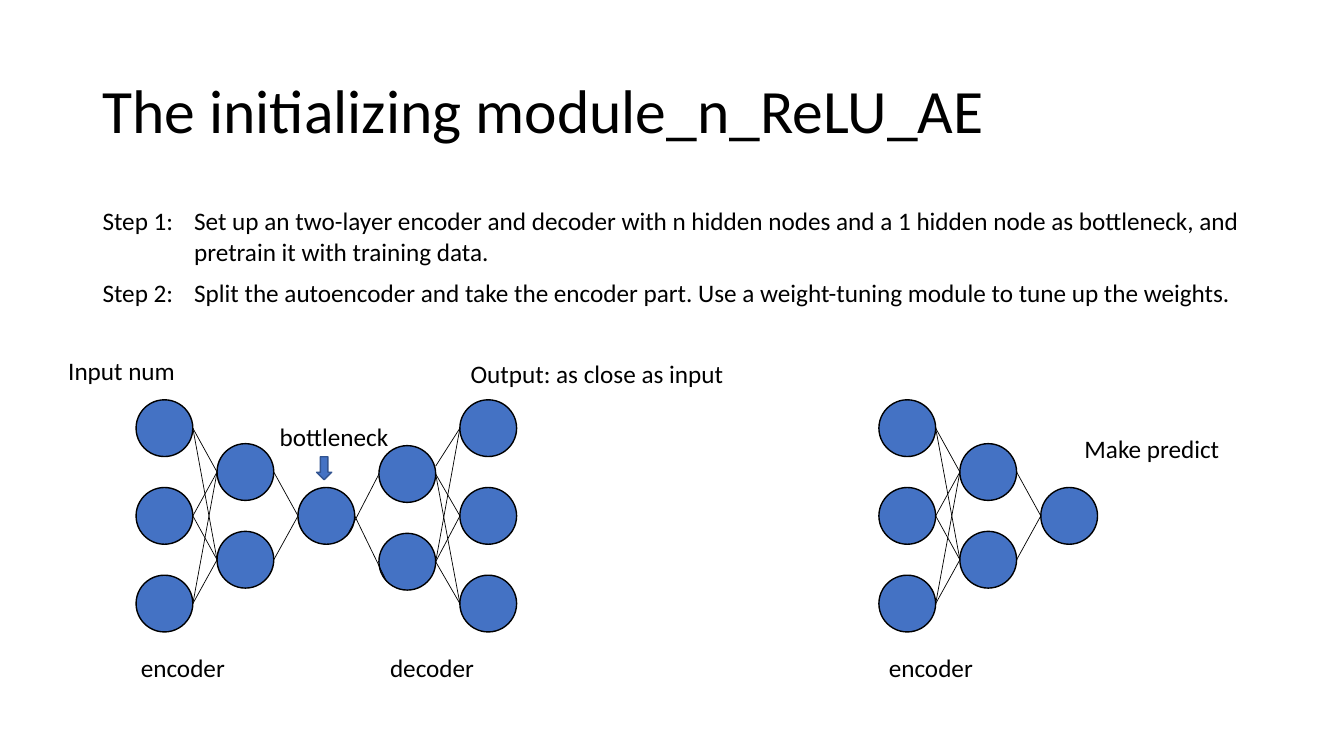
from dataclasses import dataclass
from typing import Any

import pptx
import pptx.dml.color
import pptx.enum.shapes
import pptx.enum.text
import pptx.oxml.ns
import pptx.util
from lxml import etree

Cm, Pt = pptx.util.Cm, pptx.util.Pt
SHAPE = pptx.enum.shapes.MSO_SHAPE
BLACK, WHITE, BLUE, NAVY = "000000", "FFFFFF", "4472C4", "325491"

NODE = 1.43          # diameter of a node
LAYER_STEP = 2.04    # from one layer to the next
NODE_STEP = 2.21     # from one node to the next in a layer
MIDDLE = 13.0        # height of the networks' centre line


@dataclass
class Layer:
    nodes: int
    drop: float = 0.0


@dataclass
class Network:
    left: float
    layers: list[Layer]
    # (layer, start node, end node) -> shifts of start x, y and end x, y
    shifts: dict[tuple[int, int, int], tuple[float, float, float, float]]


@dataclass
class Label:
    text: str
    left: float
    top: float
    width: float


ENCODER = [Layer(3), Layer(2), Layer(1)]
DECODER = [Layer(2, 0.05), Layer(3)]
NETWORKS = [
    Network(3.43, ENCODER + DECODER, {
        (2, 0, 0): (-0.2, 0.51, 0, 0),
        (2, 0, 1): (0, 0, 0.2, 0.51),
        (3, 0, 0): (0, -0.2, 0, 0),
    }),
    Network(22.15, ENCODER, {}),
]
LABELS = [
    Label("Input num", 1.47, 8.82, 3.71),
    Label("Output: as close as input", 11.61, 8.91, 7.26),
    Label("bottleneck", 6.8, 10.5, 3.45),
    Label("encoder", 3.3, 16.31, 3.45),
    Label("decoder", 9.58, 16.31, 3.45),
    Label("encoder", 22.15, 16.31, 3.45),
    Label("Make predict", 27.08, 10.8, 4.11),
]
STEPS = [
    ("Step 1:", "Set up an two-layer encoder and decoder with n hidden nodes and "
                "a 1 hidden node as bottleneck, and pretrain it with training data."),
    ("Step 2:", "Split the autoencoder and take the encoder part. "
                "Use a weight-tuning module to tune up the weights."),
]


def rgb(color: str) -> pptx.dml.color.RGBColor:
    return pptx.dml.color.RGBColor.from_string(color)


def write(tf: Any, text: str, size: float = 18) -> None:
    p = tf.paragraphs[0]
    p.alignment = pptx.enum.text.PP_ALIGN.LEFT
    r = p.add_run()
    r.text = text
    for name, value in {"name": "Calibri", "size": Pt(size), "bold": False}.items():
        setattr(r.font, name, value)
    r.font.color.rgb = rgb(BLACK)


def add_shape(s: Any, kind: Any, left: float, top: float, width: float,
              height: float, line: str) -> None:
    sp = s.shapes.add_shape(kind, Cm(left), Cm(top), Cm(width), Cm(height))
    sp.shadow.inherit = False
    sp.fill.solid()
    sp.fill.fore_color.rgb = rgb(BLUE)
    sp.line.color.rgb = rgb(line)
    sp.line.width = Pt(1)


def add_link(s: Any, x1: float, y1: float, x2: float, y2: float) -> None:
    link = s.shapes.add_connector(pptx.enum.shapes.MSO_CONNECTOR.STRAIGHT,
                                  Cm(x1), Cm(y1), Cm(x2), Cm(y2))
    link.line.color.rgb = rgb(BLACK)
    link.line.width = Pt(0.5)
    etree.SubElement(link._element.spPr, pptx.oxml.ns.qn("a:effectLst"))


def centres(layer: Layer) -> list[float]:
    first = MIDDLE + layer.drop - (layer.nodes - 1) / 2 * NODE_STEP
    return [first + i * NODE_STEP for i in range(layer.nodes)]


def add_network(s: Any, net: Network) -> None:
    for i, layer in enumerate(net.layers):
        for y in centres(layer):
            add_shape(s, SHAPE.OVAL, net.left + i * LAYER_STEP, y - NODE / 2,
                      NODE, NODE, BLACK)
    # Every node is linked to every node of the next layer
    for i, (layer, following) in enumerate(zip(net.layers, net.layers[1:])):
        x1, x2 = net.left + i * LAYER_STEP + NODE, net.left + (i + 1) * LAYER_STEP
        for a, y1 in enumerate(centres(layer)):
            for b, y2 in enumerate(centres(following)):
                dx1, dy1, dx2, dy2 = net.shifts.get((i, a, b), (0, 0, 0, 0))
                add_link(s, x1 + dx1, y1 + dy1, x2 + dx2, y2 + dy2)


def add_label(s: Any, label: Label) -> None:
    box = s.shapes.add_textbox(Cm(label.left), Cm(label.top), Cm(label.width), Cm(1.03))
    box.text_frame.word_wrap = True
    write(box.text_frame, label.text)


def add_title(s: Any, text: str) -> None:
    title = s.shapes.title
    frame = {"left": 2.33, "top": 1.01, "width": 29.21, "height": 3.68}
    for name, value in frame.items():
        setattr(title, name, Cm(value))
    tf = title.text_frame
    tf.auto_size = pptx.enum.text.MSO_AUTO_SIZE.NONE
    tf.vertical_anchor = pptx.enum.text.MSO_ANCHOR.MIDDLE
    write(tf, text, 44)
    tf.paragraphs[0].line_spacing = 0.9


def add_steps(s: Any) -> None:
    table = s.shapes.add_table(len(STEPS), 2, Cm(2.33), Cm(5.08),
                               Cm(29.21), Cm(2.81)).table
    table.first_row = table.horz_banding = False
    for column, width in zip(table.columns, (2.31, 26.9)):
        column.width = Cm(width)
    for row, height, step in zip(table.rows, (1.78, 1.03), STEPS):
        row.height = Cm(height)
        for cell, text in zip(row.cells, step):
            cell.fill.solid()
            cell.fill.fore_color.rgb = rgb(WHITE)
            write(cell.text_frame, text)


def main() -> None:
    prs = pptx.Presentation()
    prs.slide_width, prs.slide_height = Cm(33.87), Cm(19.05)
    s = prs.slides.add_slide(prs.slide_layouts[5])

    # Title and steps
    add_title(s, "The initializing module_n_ReLU_AE")
    add_steps(s)

    # Autoencoder and the encoder split from it
    for net in NETWORKS:
        add_network(s, net)

    # Labels and the bottleneck arrow
    for label in LABELS:
        add_label(s, label)
    add_shape(s, SHAPE.DOWN_ARROW, 7.98, 11.51, 0.38, 0.58, NAVY)

    prs.save("out.pptx")


if __name__ == "__main__":
    main()
